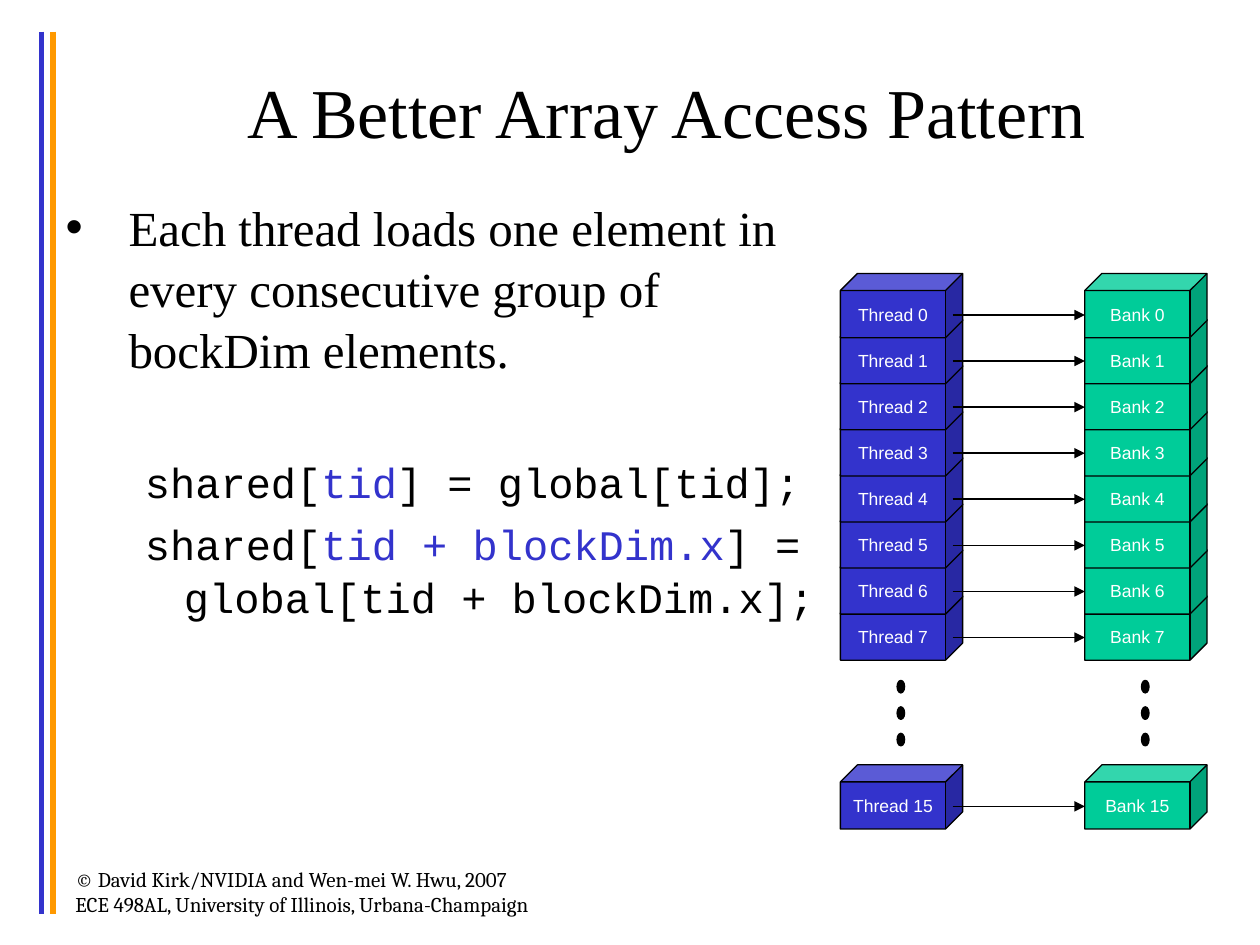
from lxml import etree
from pptx import Presentation
from pptx.dml.color import RGBColor
from pptx.enum import shapes, text
from pptx.oxml.ns import qn
from pptx.util import Inches, Pt

BLACK, WHITE = "000000", "FFFFFF"
BLUE, ORANGE, GREEN = "3333CC", "FF9900", "00CC99"
CUBE_WIDTH, CUBE_HEIGHT = 0.97, 0.51
STACK_COUNT = 8
STACK_PITCH = 2.56 / (STACK_COUNT - 1)
LAST_TOP = 3.9  # offset of the cube numbered 15


def colour(value):
    return RGBColor.from_string(value)


def style_font(font, size, name, value=BLACK):
    font.size = Pt(size)
    font.name = name
    font.color.rgb = colour(value)


def place(shape, left, top, width, height):
    shape.left, shape.top = Inches(left), Inches(top)
    shape.width, shape.height = Inches(width), Inches(height)


def add_line(parent, start, end, value, width, arrow=False):
    line = parent.shapes.add_connector(
        shapes.MSO_CONNECTOR.STRAIGHT, *(Inches(length) for length in start + end))
    line.line.color.rgb = colour(value)
    line.line.width = Pt(width)
    if arrow:
        etree.SubElement(line.line._get_or_add_ln(), qn("a:tailEnd"), type="triangle")
    etree.SubElement(line._element.spPr, qn("a:effectLst"))


def add_filled(parent, kind, left, top, width, height, fill):
    shape = parent.shapes.add_shape(
        kind, Inches(left), Inches(top), Inches(width), Inches(height))
    shape.shadow.inherit = False
    shape.fill.solid()
    shape.fill.fore_color.rgb = colour(fill)
    shape.line.color.rgb = colour(BLACK)
    shape.line.width = Pt(0.75)
    return shape


def add_cube(parent, left, top, fill, label):
    cube = add_filled(parent, shapes.MSO_SHAPE.CUBE, left, top,
                      CUBE_WIDTH, CUBE_HEIGHT, fill)
    cube.adjustments[0] = 0.266
    frame = cube.text_frame
    frame.text = label
    frame.word_wrap = False
    frame.vertical_anchor = text.MSO_ANCHOR.MIDDLE
    para = frame.paragraphs[0]
    para.alignment = text.PP_ALIGN.CENTER
    style_font(para.runs[0].font, 10, "Arial", WHITE)


def add_stack(page, left, top, fill, name):
    group = page.shapes.add_group_shape()
    add_cube(group, left, top + LAST_TOP, fill, f"{name} 15")
    # Upper cubes overlap the ones below them
    for number in reversed(range(STACK_COUNT)):
        add_cube(group, left, top + number * STACK_PITCH, fill, f"{name} {number}")
    # Dots for the cubes left out
    for number in range(3):
        add_filled(group, shapes.MSO_SHAPE.OVAL, left + 0.45,
                   top + 3.23 + number * 0.21, 0.06, 0.1, BLACK)


def add_access_diagram(page, left, top, width):
    bank_left = left + width - CUBE_WIDTH
    add_stack(page, bank_left, top, GREEN, "Bank")
    add_stack(page, left, top, BLUE, "Thread")
    # One arrow from each thread to its bank
    offsets = [number * STACK_PITCH for number in range(STACK_COUNT)] + [LAST_TOP]
    for offset in offsets:
        middle = top + offset + 0.33
        add_line(page, (left + 0.89, middle), (bank_left, middle), BLACK, 1, arrow=True)


def add_side_rules(page, left, top, height):
    for offset, value in ((0, BLUE), (0.09, ORANGE)):
        add_line(page, (left + offset, top), (left + offset, top + height), value, 3)


def add_credit(page, left, top, width, height):
    box = page.shapes.add_textbox(
        Inches(left), Inches(top), Inches(width), Inches(height))
    box.text_frame.word_wrap = True
    box.text_frame.text = ("© David Kirk/NVIDIA and Wen-mei W. Hwu, 2007\n"
                           "ECE 498AL, University of Illinois, Urbana-Champaign")
    for para in box.text_frame.paragraphs:
        style_font(para.runs[0].font, 12, "Cambria")


def fill_title(page, left, top, width, height):
    title = page.shapes.title
    place(title, left, top, width, height)
    frame = title.text_frame
    frame.text = "A Better Array Access Pattern"
    frame.auto_size = text.MSO_AUTO_SIZE.NONE
    frame.vertical_anchor = text.MSO_ANCHOR.MIDDLE
    frame.paragraphs[0].alignment = text.PP_ALIGN.CENTER
    style_font(frame.paragraphs[0].runs[0].font, 40, "Times New Roman")


def set_indent(para, margin, hanging, bullet=None):
    properties = para._p.get_or_add_pPr()
    properties.set("marL", str(Inches(margin)))
    properties.set("indent", str(-Inches(hanging)))
    if bullet:
        etree.SubElement(properties, qn("a:buChar"), char=bullet)
    else:
        etree.SubElement(properties, qn("a:buNone"))


def fill_body(page, left, top, width, height):
    body = page.placeholders[1]
    place(body, left, top, width, height)
    frame = body.text_frame
    frame.auto_size = text.MSO_AUTO_SIZE.NONE
    frame.text = ("Each thread loads one element in every consecutive group "
                  "of bockDim elements.")
    para = frame.paragraphs[0]
    set_indent(para, 0.5, 0.5, "•")
    para.space_before = Pt(0)
    para.line_spacing = 1.04
    style_font(para.runs[0].font, 28, "Times New Roman")

    # Code lines, with the shared index in blue
    code = ((43, "tid", "] = global[tid];"),
            (6, "tid + blockDim.x", "] = global[tid + blockDim.x];"))
    for space, index, rest in code:
        para = frame.add_paragraph()
        para.level = 1
        set_indent(para, 0.94, 0.31)
        para.space_before = Pt(space)
        para.line_spacing = 1.04
        for words, value in (("shared[", BLACK), (index, BLUE), (rest, BLACK)):
            span = para.add_run()
            span.text = words
            style_font(span.font, 24, "Courier New", value)


def main():
    deck = Presentation()
    deck.slide_width, deck.slide_height = Inches(10), Inches(7.5)
    page = deck.slides.add_slide(deck.slide_layouts[1])
    add_side_rules(page, 0.33, 0.25, 7)
    add_credit(page, 0.5, 6.83, 4.33, 0.5)
    fill_title(page, 0.75, 0.25, 9.08, 1.25)
    fill_body(page, 0.42, 1.5, 6.25, 5.47)
    add_access_diagram(page, 6.67, 2.17, 2.91)
    deck.save("out.pptx")


if __name__ == "__main__":
    main()
